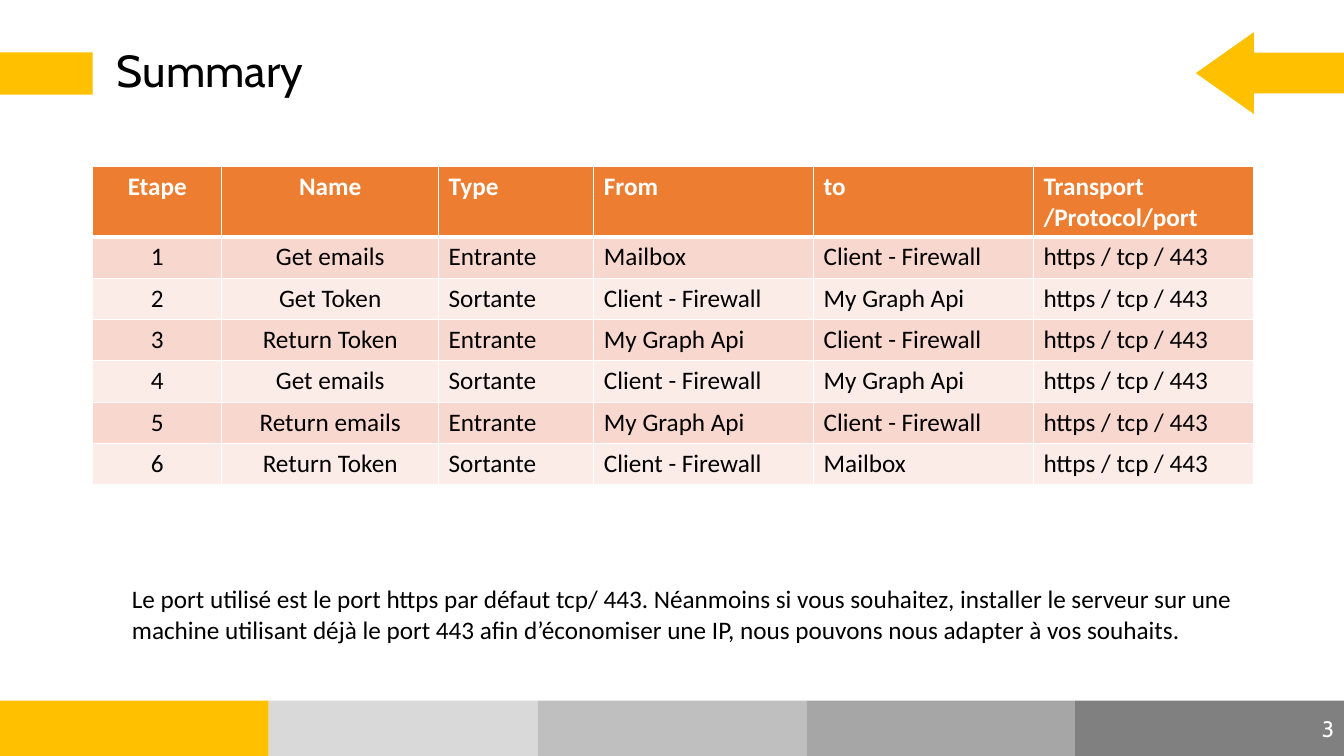
from lxml.etree import SubElement
from pptx import Presentation
from pptx.dml.color import RGBColor
from pptx.enum.shapes import MSO_SHAPE
from pptx.enum.text import MSO_ANCHOR, PP_ALIGN
from pptx.oxml.ns import qn
from pptx.util import Inches, Pt

YELLOW = "FFC000"
WHITE = "FFFFFF"
BLACK = "000000"
BAND_COLOURS = [YELLOW, "D9D9D9", "BFBFBF", "A6A6A6", "808080"]
HEADER_FILL = "ED7D31"
ROW_FILLS = ["F8D7CE", "FCECE8"]
COLUMN_WIDTHS = [1.28, 2.15, 1.54, 2.18, 2.18, 2.18]
CENTRED_COLUMNS = 2
HEADER_HEIGHT = 0.7
ROW_HEIGHT = 0.41

HEADERS = ["Etape", "Name", "Type", "From", "to", "Transport /Protocol/port"]
MAIL = "Mailbox"
FIREWALL = "Client - Firewall"
GRAPH = "My Graph Api"
TRANSPORT = "https / tcp / 443"
STEPS = [
    ("Get emails", "Entrante", MAIL, FIREWALL),
    ("Get Token", "Sortante", FIREWALL, GRAPH),
    ("Return Token", "Entrante", GRAPH, FIREWALL),
    ("Get emails", "Sortante", FIREWALL, GRAPH),
    ("Return emails", "Entrante", GRAPH, FIREWALL),
    ("Return Token", "Sortante", FIREWALL, MAIL),
]
NOTE = (
    "Le port utilisé est le port https par défaut tcp/ 443. "
    "Néanmoins si vous souhaitez, installer le serveur sur une\v"
    "machine utilisant déjà le port 443 afin d’économiser une IP, "
    "nous pouvons nous adapter à vos souhaits."
)


def rgb(colour):
    """Turn a hex string into a colour."""
    return RGBColor.from_string(colour)


def format_text(text_frame, size, font, colour, bold=False, align=PP_ALIGN.LEFT):
    """Format every paragraph and run of a text frame."""
    for paragraph in text_frame.paragraphs:
        paragraph.alignment = align
        for run in paragraph.runs:
            run.font.size = Pt(size)
            run.font.name = font
            run.font.bold = bold
            run.font.color.rgb = rgb(colour)


def add_block(slide, kind, left, top, width, height, colour):
    """Add a plain filled shape without outline or shadow."""
    shape = slide.shapes.add_shape(
        kind, Inches(left), Inches(top), Inches(width), Inches(height)
    )
    shape.shadow.inherit = False
    shape.fill.solid()
    shape.fill.fore_color.rgb = rgb(colour)
    shape.line.fill.background()
    return shape


def add_text(slide, text, left, top, width, height, size, font, colour,
             align=PP_ALIGN.LEFT):
    """Add a vertically centred text box and return its text frame."""
    box = slide.shapes.add_textbox(
        Inches(left), Inches(top), Inches(width), Inches(height)
    )
    text_frame = box.text_frame
    text_frame.word_wrap = True
    text_frame.vertical_anchor = MSO_ANCHOR.MIDDLE
    text_frame.text = text
    format_text(text_frame, size, font, colour, align=align)
    return text_frame


def set_borders(cell, widths):
    """Draw white cell borders; widths maps a side tag to points."""
    properties = cell._tc.get_or_add_tcPr()
    for position, (side, width) in enumerate(widths.items()):
        line = SubElement(properties, qn(f"a:{side}"), w=str(Pt(width)))
        fill = SubElement(line, qn("a:solidFill"))
        SubElement(fill, qn("a:srgbClr"), val=WHITE)
        properties.insert(position, line)


def add_steps_table(slide):
    """Add the table of exchange steps."""
    rows = [HEADERS] + [
        (str(number), *step, TRANSPORT) for number, step in enumerate(STEPS, 1)
    ]
    table = slide.shapes.add_table(
        len(rows), len(HEADERS), Inches(0.92), Inches(1.65),
        Inches(sum(COLUMN_WIDTHS)),
        Inches(HEADER_HEIGHT + ROW_HEIGHT * len(STEPS)),
    ).table
    for column, width in zip(table.columns, COLUMN_WIDTHS):
        column.width = Inches(width)
    for row_index, values in enumerate(rows):
        header = row_index == 0
        table.rows[row_index].height = Inches(HEADER_HEIGHT if header else ROW_HEIGHT)
        for column_index, value in enumerate(values):
            cell = table.cell(row_index, column_index)
            cell.text = value
            centred = column_index < CENTRED_COLUMNS
            format_text(
                cell.text_frame, 18, "Calibri", WHITE if header else BLACK, header,
                PP_ALIGN.CENTER if centred else PP_ALIGN.LEFT,
            )
            cell.fill.solid()
            fill = HEADER_FILL if header else ROW_FILLS[(row_index - 1) % 2]
            cell.fill.fore_color.rgb = rgb(fill)
            set_borders(cell, {
                "lnL": 1, "lnR": 1,
                "lnT": 3 if row_index == 1 else 1,
                "lnB": 3 if header else 1,
            })


def add_decoration(slide):
    """Add the footer band, the title bar and the arrow."""
    band_width = 13.33 / len(BAND_COLOURS)
    for index, colour in enumerate(BAND_COLOURS):
        add_block(slide, MSO_SHAPE.RECTANGLE, index * band_width, 6.95,
                  band_width, 0.55, colour)
    add_block(slide, MSO_SHAPE.RECTANGLE, 0, 0.52, 0.92, 0.42, YELLOW)
    arrow = add_block(slide, MSO_SHAPE.RIGHT_ARROW, 11.86, 0.32, 1.47, 0.81, YELLOW)
    arrow.rotation = 180
    arrow.adjustments[1] = 0.71


def main():
    """Build the summary slide."""
    presentation = Presentation()
    presentation.slide_width = Inches(13.33)
    presentation.slide_height = Inches(7.5)
    slide = presentation.slides.add_slide(presentation.slide_layouts[6])
    add_decoration(slide)
    title = add_text(slide, "Summary", 0.92, 0, 11.5, 1.45, 32, "Cabin", BLACK)
    title.margin_left = Inches(0.24)
    title.paragraphs[0].line_spacing = 0.9
    add_steps_table(slide)
    add_text(slide, "3", 12.77, 6.95, 0.56, 0.55, 16, "Cabin", WHITE, PP_ALIGN.RIGHT)
    add_text(slide, NOTE, 1.21, 5.59, 11.35, 1, 18, "Calibri", BLACK)
    presentation.save("out.pptx")


if __name__ == "__main__":
    main()
